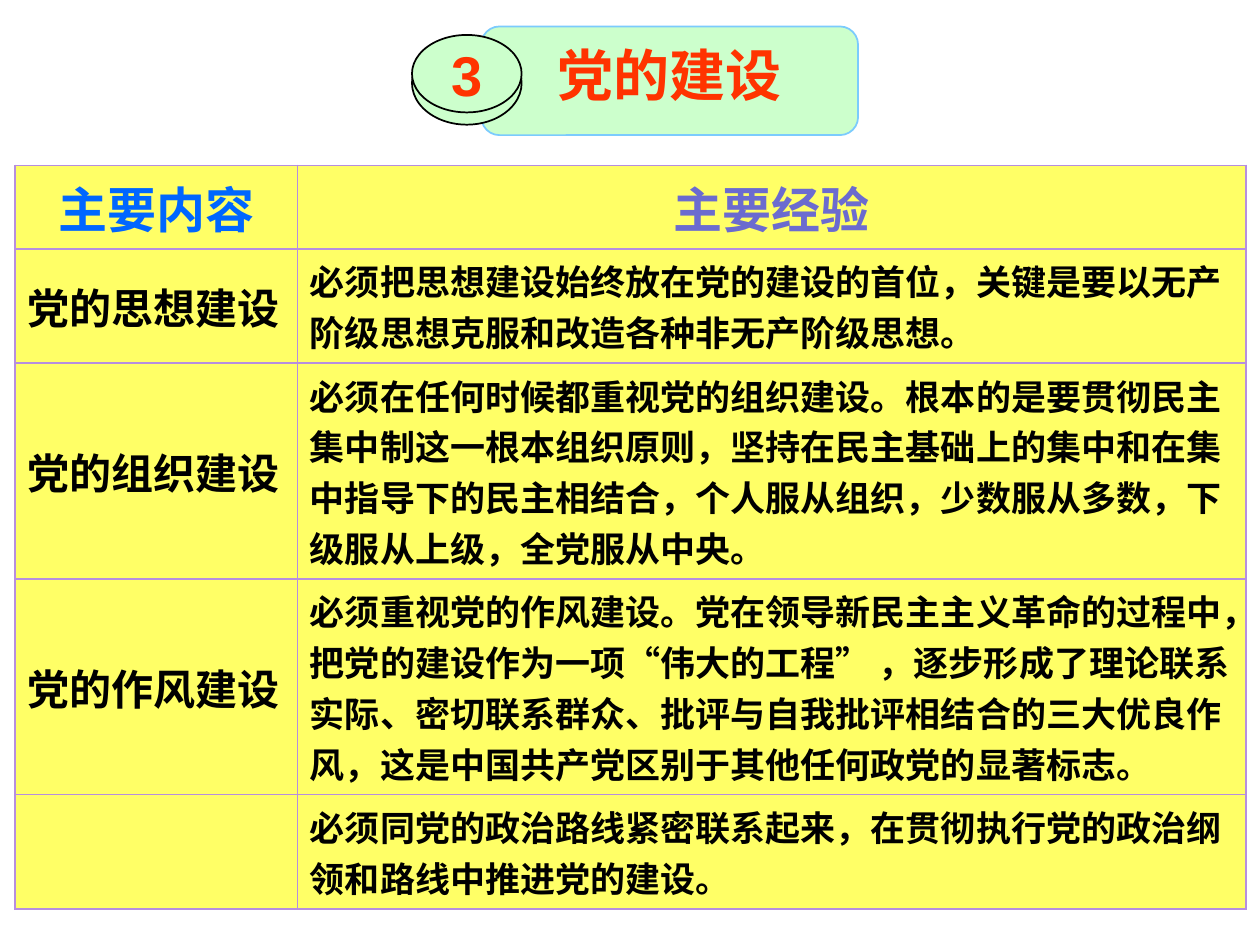
from lxml import etree
from pptx import Presentation
from pptx.dml.color import RGBColor
from pptx.enum.shapes import MSO_SHAPE
from pptx.enum.text import MSO_ANCHOR, PP_ALIGN
from pptx.oxml.ns import qn
from pptx.util import Inches, Pt

ROUNDED = MSO_SHAPE.ROUNDED_RECTANGLE
OVAL = MSO_SHAPE.OVAL
MIDDLE, TOP = MSO_ANCHOR.MIDDLE, MSO_ANCHOR.TOP
CENTER, LEFT = PP_ALIGN.CENTER, PP_ALIGN.LEFT

WIDTH, HEIGHT = 10, 7.5
BORDER_SIDES = ("a:lnL", "a:lnR", "a:lnT", "a:lnB")


def rgb(value):
    return RGBColor.from_string(value)


class Board:
    font = "Arial"
    badge_fill = "CCFFCC"
    badge_text = "FF3300"
    cell_fill = "FFFF66"
    border = "B68EDE"

    def __init__(self, presentation):
        self.slide = presentation.slides.add_slide(presentation.slide_layouts[6])

    def set_text(self, frame, text, size, color, align):
        paragraph = frame.paragraphs[0]
        paragraph.text = text
        paragraph.alignment = align
        paragraph.font.name = self.font
        paragraph.font.size = Pt(size)
        paragraph.font.bold = True
        paragraph.font.color.rgb = rgb(color)
        return paragraph

    def badge_part(self, group, preset, left, top, width, height, line, text=""):
        part = group.shapes.add_shape(
            preset, Inches(left * WIDTH), Inches(top * HEIGHT),
            Inches(width * WIDTH), Inches(height * HEIGHT))
        part.shadow.inherit = False
        part.fill.solid()
        part.fill.fore_color.rgb = rgb(self.badge_fill)
        part.line.color.rgb = rgb(line)
        part.line.width = Pt(1)
        part.text_frame.word_wrap = False
        part.text_frame.vertical_anchor = MIDDLE
        return self.set_text(part.text_frame, text, 32, self.badge_text, CENTER)

    def heading(self, number, title):
        group = self.slide.shapes.add_group_shape()
        title_line = self.badge_part(
            group, ROUNDED, 0.382, 0.028, 0.299, 0.115, "7BCBFD", title)
        title_line.line_spacing = 0.8
        self.badge_part(group, OVAL, 0.327, 0.044, 0.087, 0.088, "000000")
        self.badge_part(group, OVAL, 0.327, 0.037, 0.087, 0.082, "000000", number)

    def outline(self, cell):
        properties = cell._tc.get_or_add_tcPr()
        for position, side in enumerate(BORDER_SIDES):
            edge = etree.Element(qn(side), w=str(Pt(1)))
            fill = etree.SubElement(edge, qn("a:solidFill"))
            etree.SubElement(fill, qn("a:srgbClr"), val=self.border)
            properties.insert(position, edge)

    def cell(self, cell, text, size, color, align, anchor):
        cell.fill.solid()
        cell.fill.fore_color.rgb = rgb(self.cell_fill)
        self.outline(cell)
        cell.vertical_anchor = anchor
        self.set_text(cell.text_frame, text, size, color, align)

    def table(self, left, top, columns, rows, headers, lessons):
        grid = self.slide.shapes.add_table(
            len(rows), len(columns), Inches(left * WIDTH), Inches(top * HEIGHT),
            Inches(sum(columns) * WIDTH), Inches(sum(rows) * HEIGHT)).table
        for column, share in zip(grid.columns, columns):
            column.width = Inches(share * WIDTH)
        for row, share in zip(grid.rows, rows):
            row.height = Inches(share * HEIGHT)
        for index, (text, color) in enumerate(headers):
            self.cell(grid.cell(0, index), text, 28, color, CENTER, MIDDLE)
        for index, (topic, lesson, anchor) in enumerate(lessons, 1):
            self.cell(grid.cell(index, 0), topic, 24, "000000", LEFT, MIDDLE)
            self.cell(grid.cell(index, 1), lesson, 20, "000000", LEFT, anchor)


HEADERS = [("主要内容", "0066FF"), ("主要经验", "6B6BCF")]
LESSONS = [
    ("党的思想建设",
     "必须把思想建设始终放在党的建设的首位，关键是要以无产阶级思想克服和改造各种非无产阶级思想。",
     MIDDLE),
    ("党的组织建设",
     "必须在任何时候都重视党的组织建设。根本的是要贯彻民主集中制这一根本组织原则，"
     "坚持在民主基础上的集中和在集中指导下的民主相结合，个人服从组织，少数服从多数，"
     "下级服从上级，全党服从中央。",
     TOP),
    ("党的作风建设",
     "必须重视党的作风建设。党在领导新民主主义革命的过程中，把党的建设作为一项“伟大的工程” ，"
     "逐步形成了理论联系实际、密切联系群众、批评与自我批评相结合的三大优良作风，"
     "这是中国共产党区别于其他任何政党的显著标志。",
     TOP),
    ("", "必须同党的政治路线紧密联系起来，在贯彻执行党的政治纲领和路线中推进党的建设。", TOP),
]


def main():
    presentation = Presentation()
    presentation.slide_width = Inches(WIDTH)
    presentation.slide_height = Inches(HEIGHT)
    board = Board(presentation)
    board.heading("3", "党的建设")
    board.table(0.012, 0.175, [0.224, 0.753],
                [0.088, 0.12, 0.228, 0.228, 0.12], HEADERS, LESSONS)
    presentation.save("out.pptx")


if __name__ == "__main__":
    main()
